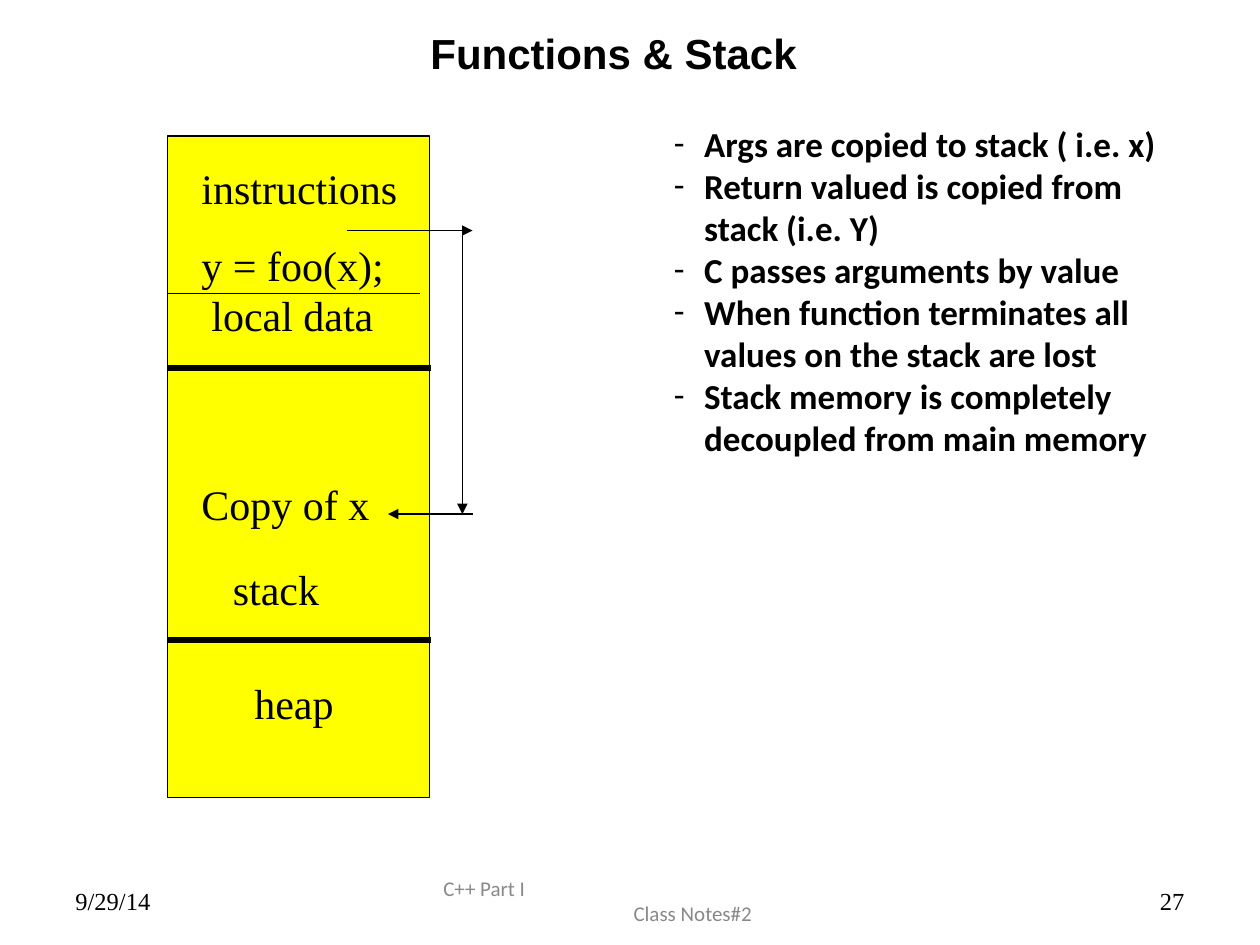
from dataclasses import dataclass

import pptx
import pptx.dml.color
import pptx.enum.shapes
import pptx.enum.text
import pptx.oxml
import pptx.oxml.ns
import pptx.util
from pptx.util import Inches

COLORS = {"ink": "000000", "memory": "FFFF00", "footer": "898989"}
ALIGN = pptx.enum.text.PP_ALIGN
ANCHOR = pptx.enum.text.MSO_ANCHOR
AUTO = pptx.enum.text.MSO_AUTO_SIZE


@dataclass
class Label:
    lines: list[str]
    left: float
    top: float
    width: float
    height: float
    size: int = 24
    font: str = "Times New Roman"
    color: str = "ink"
    bold: bool = False
    align: ALIGN = ALIGN.LEFT
    anchor: ANCHOR = ANCHOR.TOP
    gap: int = 0
    bullet: bool = False
    last_indent: float = 0


@dataclass
class Line:
    x1: float
    y1: float
    x2: float
    y2: float
    weight: float = 0.75
    arrow: bool = False


def rgb(name: str) -> pptx.dml.color.RGBColor:
    return pptx.dml.color.RGBColor.from_string(COLORS[name])


def add_element(parent, xml: str) -> None:
    ns = pptx.oxml.ns.nsdecls("a")
    parent.append(pptx.oxml.parse_xml(xml.replace("/>", f" {ns}/>", 1)))


def add_dash(p) -> None:
    pPr = p._p.get_or_add_pPr()
    pPr.set("marL", str(Inches(0.24)))
    pPr.set("indent", str(-Inches(0.24)))
    add_element(pPr, '<a:buFont typeface="Calibri"/>')
    add_element(pPr, '<a:buChar char="-"/>')


def add_label(s, label: Label) -> None:
    box = s.shapes.add_textbox(Inches(label.left), Inches(label.top),
                               Inches(label.width), Inches(label.height))
    tf = box.text_frame
    tf.word_wrap = True
    tf.vertical_anchor = label.anchor
    tf.auto_size = AUTO.NONE if label.anchor == ANCHOR.MIDDLE else AUTO.SHAPE_TO_FIT_TEXT
    for i, line in enumerate(label.lines):
        p = tf.add_paragraph() if i else tf.paragraphs[0]
        p.alignment = label.align
        if i and label.gap:
            p.space_before = pptx.util.Pt(label.gap)
        if label.bullet:
            add_dash(p)
        if i and label.last_indent:
            p._p.get_or_add_pPr().set("marL", str(Inches(label.last_indent)))
        r = p.add_run()
        r.text = line
        r.font.name = label.font
        r.font.size = pptx.util.Pt(label.size)
        r.font.bold = label.bold
        r.font.color.rgb = rgb(label.color)


def add_line(s, line: Line) -> None:
    c = s.shapes.add_connector(pptx.enum.shapes.MSO_CONNECTOR.STRAIGHT,
                               Inches(line.x1), Inches(line.y1),
                               Inches(line.x2), Inches(line.y2))
    c.line.color.rgb = rgb("ink")
    c.line.width = pptx.util.Pt(line.weight)
    if line.arrow:
        add_element(c.line._get_or_add_ln(), '<a:tailEnd type="triangle"/>')
    add_element(c._element.spPr, "<a:effectLst/>")


def add_memory(s) -> None:
    sp = s.shapes.add_shape(pptx.enum.shapes.MSO_SHAPE.RECTANGLE,
                            Inches(1.33), Inches(1.08), Inches(2.08), Inches(5.25))
    sp.shadow.inherit = False
    sp.fill.solid()
    sp.fill.fore_color.rgb = rgb("memory")
    sp.line.color.rgb = rgb("ink")
    sp.line.width = pptx.util.Pt(0.75)


NOTES = [
    "Args are copied to stack ( i.e. x)",
    "Return valued is copied from stack (i.e. Y)",
    "C passes arguments by value",
    "When function terminates all values on the stack are lost",
    "Stack memory is completely decoupled from main memory",
]

LABELS = [
    Label(["Functions & Stack"], 1.33, 0.17, 7.08, 0.5, font="Arial", bold=True,
          align=ALIGN.CENTER),
    Label(["instructions", "y = foo(x);"], 1.5, 1.24, 2.08, 1.08, gap=15),
    Label(["local data"], 1.58, 2.25, 1.6, 0.5),
    Label(["Copy of x"], 1.5, 3.75, 1.6, 0.5),
    Label(["stack"], 1.75, 4.42, 1, 0.5),
    Label(["heap"], 1.92, 5.33, 0.95, 0.5),
    Label(NOTES, 5.25, 0.92, 4.25, 3.21, size=20, font="Calibri", bold=True, bullet=True),
    Label(["9/29/14"], 0.5, 6.95, 2.33, 0.4, size=14, anchor=ANCHOR.MIDDLE),
    Label(["C++ Part I", "Class Notes#2"], 3.42, 6.95, 3.17, 0.4, size=12, font="Calibri",
          color="footer", anchor=ANCHOR.MIDDLE, last_indent=1.51),
    Label(["27"], 7.17, 6.95, 2.33, 0.4, size=14, align=ALIGN.RIGHT, anchor=ANCHOR.MIDDLE),
]

LINES = [
    Line(1.33, 2.33, 3.33, 2.33),
    Line(1.33, 2.92, 3.42, 2.92, weight=3),
    Line(1.33, 5.08, 3.42, 5.08, weight=3),
    Line(2.75, 1.83, 3.75, 1.83, arrow=True),
    Line(3.67, 1.83, 3.67, 4.08, arrow=True),
    Line(3.75, 4.08, 3.08, 4.08, arrow=True),
]


def main() -> None:
    prs = pptx.Presentation()
    prs.slide_width, prs.slide_height = Inches(10), Inches(7.5)
    s = prs.slides.add_slide(prs.slide_layouts[6])
    add_memory(s)
    for line in LINES:
        add_line(s, line)
    for label in LABELS:
        add_label(s, label)
    prs.save("out.pptx")


if __name__ == "__main__":
    main()
